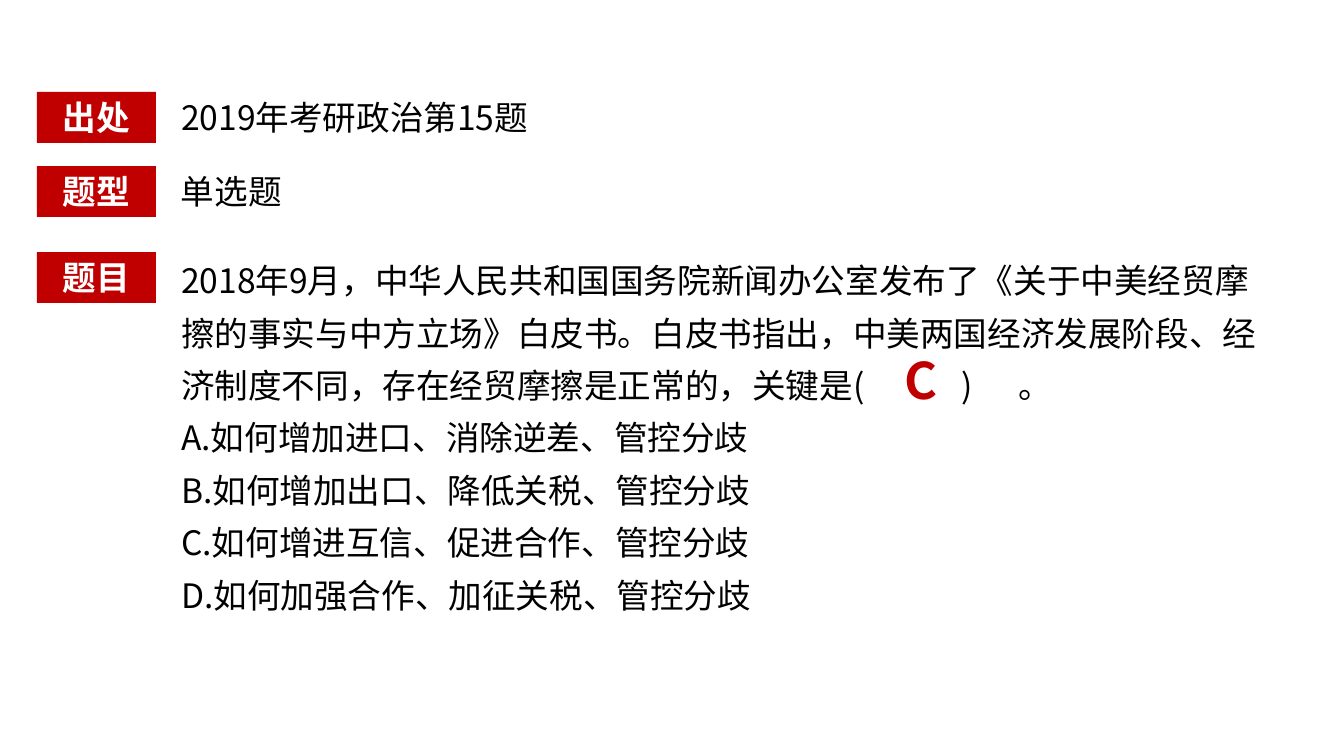
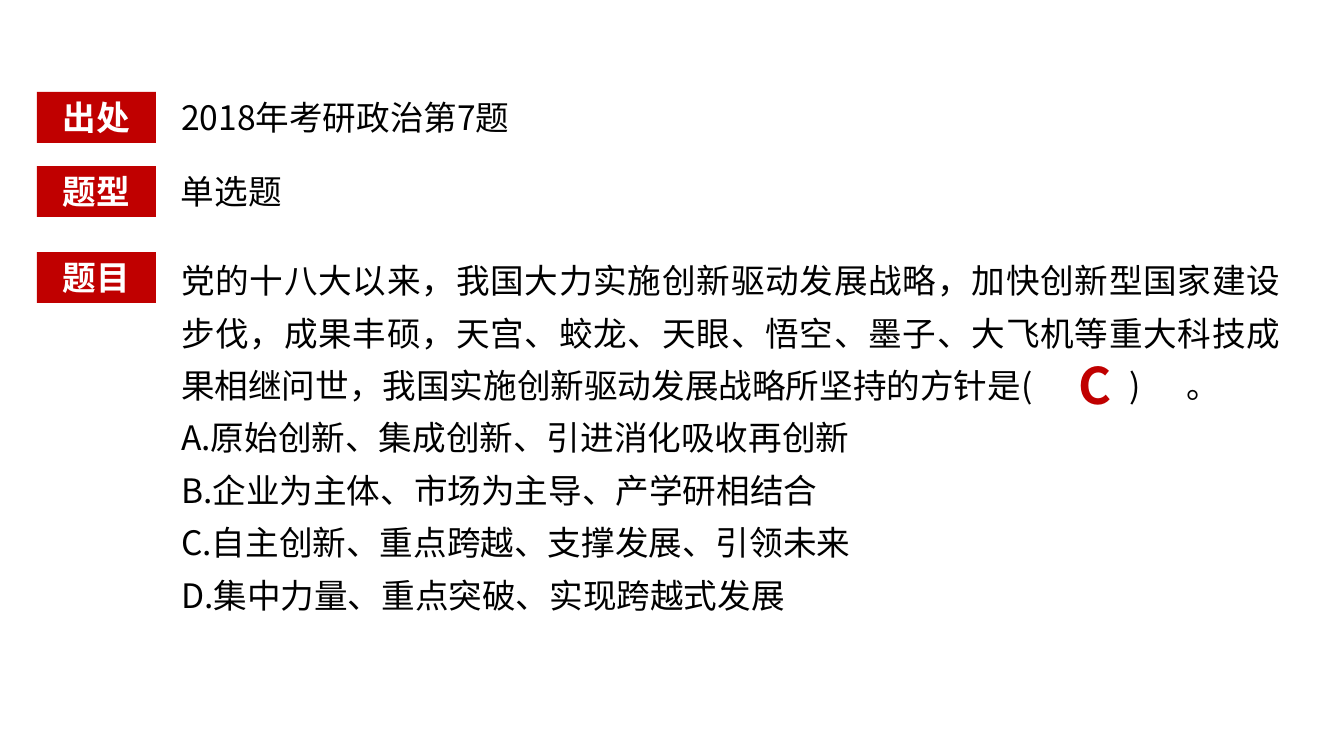
from pptx import Presentation
from pptx import util as u
from pptx.dml.color import RGBColor
from pptx.enum import shapes, text
from pptx.oxml.ns import qn
from lxml import etree

PX = 914400 / 100.8
FACE = "Noto Sans CJK SC"
HUES = {"red": "C00000", "ink": "000000", "white": "FFFFFF"}
ROWS = {"出处": 92, "题型": 166, "题目": 252}
TAG_X, TAG_W, ROW_H = 37, 119, 51
TEXT_X, TEXT_W = 171, 913
BODY = (TEXT_X, 243, 1120, 375)
SLOT, SLOT_GAP = "( )", 45

QUIZ = [
    {
        "source": "2019年考研政治第15题",
        "kind": "单选题",
        "stem": "2018年9月，中华人民共和国国务院新闻办公室发布了《关于中美经贸摩擦的事实与中方立场》白皮书。"
                "白皮书指出，中美两国经济发展阶段、经济制度不同，存在经贸摩擦是正常的，关键是",
        "picks": [
            "A.如何增加进口、消除逆差、管控分歧",
            "B.如何增加出口、降低关税、管控分歧",
            "C.如何增进互信、促进合作、管控分歧",
            "D.如何加强合作、加征关税、管控分歧",
        ],
        "align": text.PP_ALIGN.LEFT,
        "key": ("C", 724, 100),
    },
    {
        "source": "2018年考研政治第7题",
        "kind": "单选题",
        "stem": "党的十八大以来，我国大力实施创新驱动发展战略，加快创新型国家建设步伐，成果丰硕，"
                "天宫、蛟龙、天眼、悟空、墨子、大飞机等重大科技成果相继问世，"
                "我国实施创新驱动发展战略所坚持的方针是",
        "picks": [
            "A.原始创新、集成创新、引进消化吸收再创新",
            "B.企业为主体、市场为主导、产学研相结合",
            "C.自主创新、重点跨越、支撑发展、引领未来",
            "D.集中力量、重点突破、实现跨越式发展",
        ],
        "align": text.PP_ALIGN.JUSTIFY,
        "key": ("C", 898, 105),
    },
]


def px(n):
    """Turn pixels into EMU."""
    return u.Emu(round(n * PX))


def place(shape, box):
    """Move a shape to a box in pixels."""
    shape.left, shape.top, shape.width, shape.height = map(px, box)


def frame(shape, anchor):
    """Set up the text frame of a shape and return it."""
    tf = shape.text_frame
    tf.word_wrap = True
    tf.auto_size = text.MSO_AUTO_SIZE.NONE
    tf.vertical_anchor = anchor
    return tf


def write(para, words, hue="ink", size=24, bold=False, gap=0):
    """Add one formatted run, its letters spread by a gap in pixels."""
    run = para.add_run()
    run.text = words
    font = run.font
    font.size, font.bold, font.name = u.Pt(size), bold, FACE
    font.color.rgb = RGBColor.from_string(HUES[hue])
    props = run._r.get_or_add_rPr()
    etree.SubElement(props, qn("a:ea"), typeface=FACE)
    if gap:
        props.set("spc", str(round(px(gap).pt * 100)))


def line(shape, box, words, align=text.PP_ALIGN.LEFT, **look):
    """Place a shape holding one line of text."""
    place(shape, box)
    para = frame(shape, text.MSO_ANCHOR.MIDDLE).paragraphs[0]
    para.alignment = align
    write(para, words, **look)


def label(slide, words, top):
    """Draw one red tag."""
    tag = slide.shapes.add_shape(shapes.MSO_SHAPE.RECTANGLE, 0, 0, 0, 0)
    tag.shadow.inherit = False
    tag.fill.solid()
    tag.fill.fore_color.rgb = RGBColor.from_string(HUES["red"])
    tag.line.fill.background()
    line(tag, (TAG_X, top, TAG_W, ROW_H), words, text.PP_ALIGN.CENTER,
         hue="white", bold=True)


def plain(para, align=text.PP_ALIGN.LEFT):
    """Clear bullet and indent, and set alignment and spacing."""
    para.alignment = align
    para.line_spacing = 1.3
    para.space_before = u.Pt(0)
    props = para._p.get_or_add_pPr()
    props.set("marL", "0")
    props.set("indent", "0")
    etree.SubElement(props, qn("a:buNone"))


def ask(slide, quiz, box):
    """Fill the body with stem and choices, then mark the answer."""
    body = slide.placeholders[1]
    place(body, box)
    tf = frame(body, text.MSO_ANCHOR.TOP)
    stem = tf.paragraphs[0]
    plain(stem, quiz["align"])
    write(stem, quiz["stem"])
    write(stem, SLOT, gap=SLOT_GAP)
    write(stem, "。")
    for pick in quiz["picks"]:
        para = tf.add_paragraph()
        plain(para)
        write(para, pick)
    mark, dx, dy = quiz["key"]
    note = slide.shapes.add_textbox(0, 0, 0, 0)
    line(note, (box[0] + dx, box[1] + dy, 199, 72), mark, hue="red", size=36, bold=True)


def build(deck, quiz):
    """Build one question slide."""
    slide = deck.slides.add_slide(deck.slide_layouts[1])
    for words, top in ROWS.items():
        label(slide, words, top)
    line(slide.shapes.title, (TEXT_X, ROWS["出处"], TEXT_W, ROW_H), quiz["source"])
    kind = slide.shapes.add_textbox(0, 0, 0, 0)
    line(kind, (TEXT_X, ROWS["题型"], TEXT_W, ROW_H), quiz["kind"])
    ask(slide, quiz, BODY)


def main():
    """Build and save the deck."""
    deck = Presentation()
    deck.slide_width, deck.slide_height = px(1344), px(756)
    for quiz in QUIZ:
        build(deck, quiz)
    deck.save("out.pptx")


if __name__ == "__main__":
    main()
